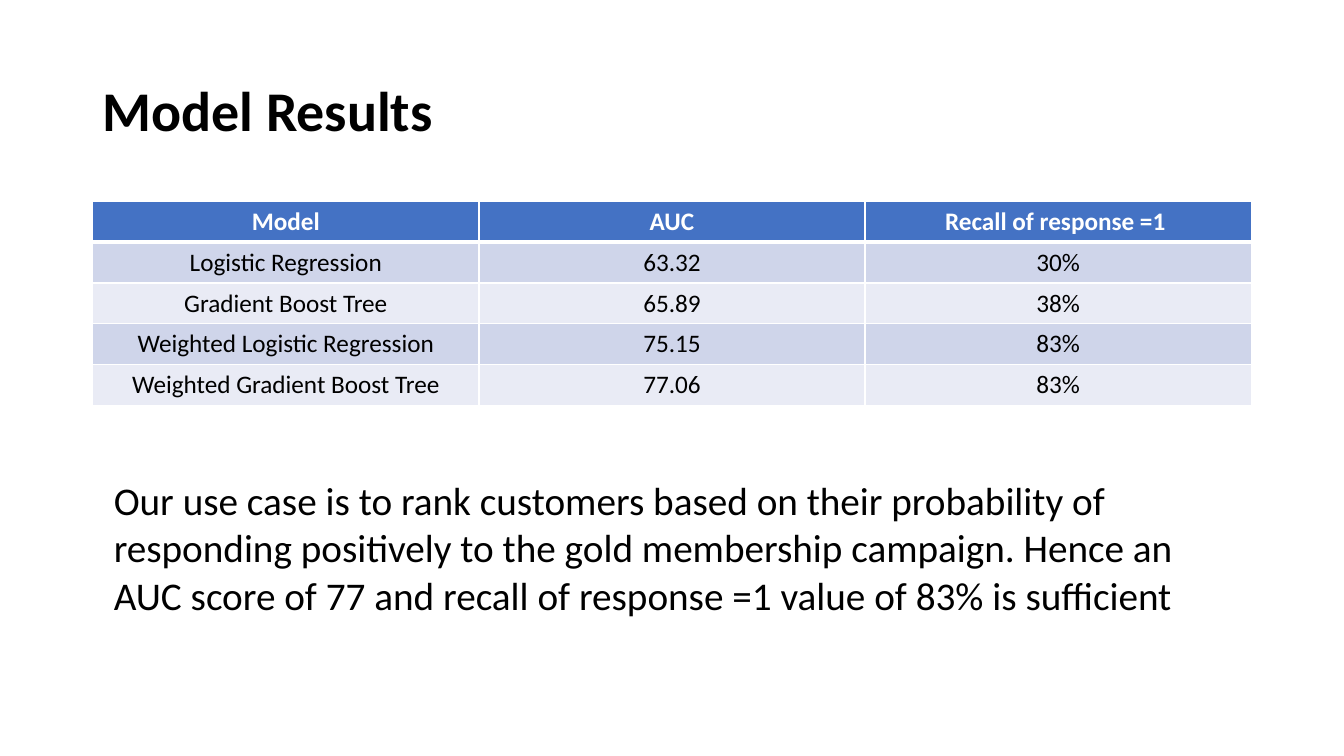
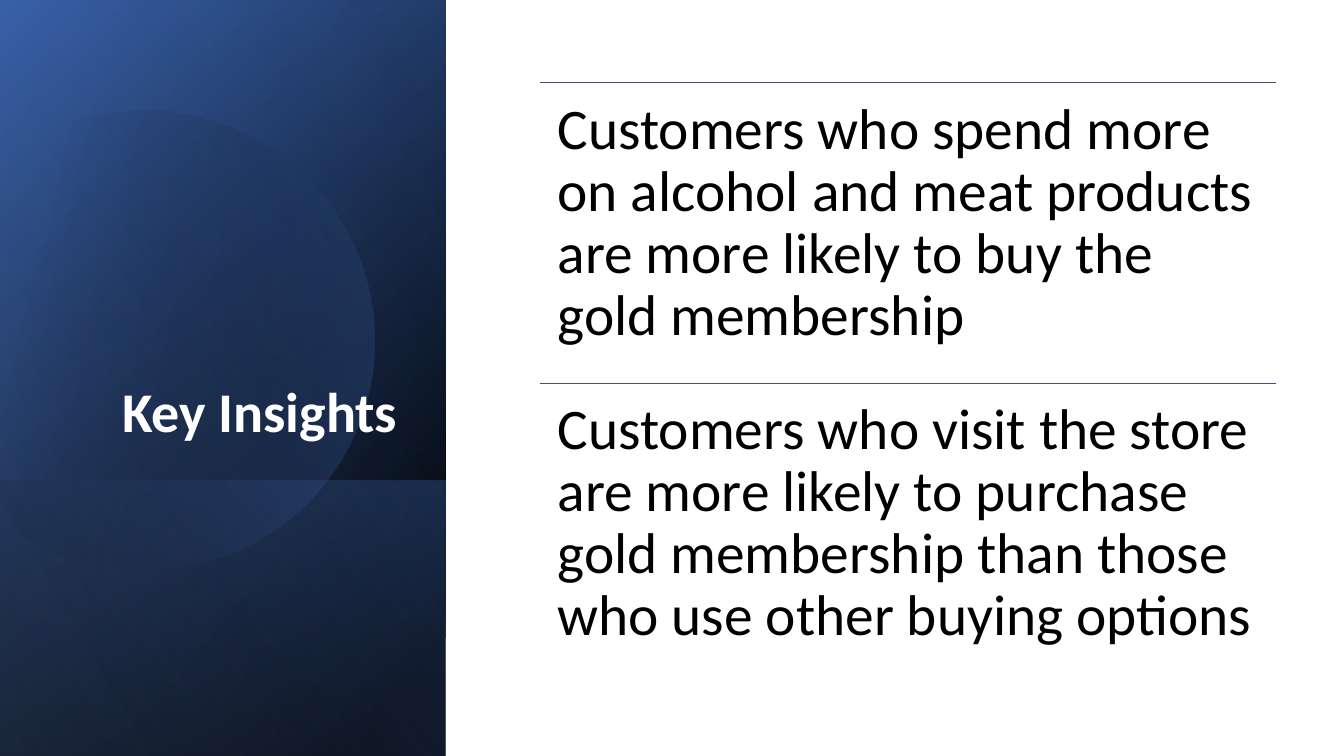
from dataclasses import dataclass
from math import cos, radians, sin, tan

from lxml import etree
from pptx import Presentation
from pptx.dml.color import RGBColor
from pptx.enum.shapes import MSO_CONNECTOR, MSO_SHAPE
from pptx.enum.text import MSO_ANCHOR, PP_ALIGN
from pptx.oxml.ns import qn
from pptx.util import Inches, Pt

RECT = MSO_SHAPE.RECTANGLE
STRAIGHT = MSO_CONNECTOR.STRAIGHT
TOP, MIDDLE, BOTTOM = MSO_ANCHOR.TOP, MSO_ANCHOR.MIDDLE, MSO_ANCHOR.BOTTOM
LEFT, CENTER, RIGHT = PP_ALIGN.LEFT, PP_ALIGN.CENTER, PP_ALIGN.RIGHT

FONT = "Calibri"
TITLE_SIZE = 40
COLORS = {
    "black": "000000",
    "white": "FFFFFF",
    "blue": "4472C4",
    "deep_blue": "2F5597",
    "light_blue": "8FAADC",
    "slate": "44546A",
    "band_dark": "CFD5EA",
    "band_light": "E9EBF5",
}
RESULTS = [
    ("Model", "AUC", "Recall of response =1 "),
    ("Logistic Regression", "63.32", "30%"),
    ("Gradient Boost Tree", "65.89", "38%"),
    ("Weighted Logistic Regression", "75.15", "83%"),
    ("Weighted Gradient Boost Tree", "77.06", "83%"),
]
CONCLUSION = (
    "Our use case is to rank customers based on their probability of responding "
    "positively to the gold membership campaign. Hence an AUC score of 77 and "
    "recall of response =1 value of 83% is sufficient"
)
INSIGHTS = [
    "Customers who spend more on alcohol and meat products are more likely to "
    "buy the gold membership",
    "Customers who visit the store are more likely to purchase gold membership "
    "than those who use other buying options",
]


@dataclass(frozen=True)
class Box:
    left: float
    top: float
    width: float
    height: float

    def emu(self) -> tuple:
        return tuple(Inches(v) for v in (self.left, self.top, self.width, self.height))


@dataclass(frozen=True)
class Stop:
    position: int
    color: str
    opacity: int = 100


@dataclass(frozen=True)
class Gradient:
    angle: int
    start: Stop
    end: Stop


@dataclass(frozen=True)
class Panel:
    box: Box
    gradient: Gradient


BACK_PANELS = [
    Panel(Box(-1.54, 1.54, 7.5, 4.42),
          Gradient(50, Stop(8, "black"), Stop(100, "deep_blue"))),
    Panel(Box(-1.54, 1.55, 7.5, 4.42),
          Gradient(30, Stop(0, "black", 0), Stop(99, "blue", 46))),
    Panel(Box(0.84, 3.93, 2.74, 4.42),
          Gradient(130, Stop(2, "blue", 29), Stop(100, "black", 30))),
]
DISC_GRADIENT = Gradient(30, Stop(29, "black", 0), Stop(100, "blue", 43))
DISC_ANGLES = (-118, -90, 0, 90, 150)
FRONT_PANEL = Panel(Box(-1.54, 1.54, 7.5, 4.42),
                    Gradient(120, Stop(0, "black", 0), Stop(99, "light_blue", 11)))


def rgb(name: str) -> RGBColor:
    return RGBColor.from_string(COLORS[name])


def format_text(p, size: float, color: str, bold: bool = False, align=LEFT) -> None:
    p.alignment = align
    for r in p.runs:
        r.font.name = FONT
        r.font.size = Pt(size)
        r.font.bold = bold
        r.font.color.rgb = rgb(color)


def add_text(s, box: Box, text: str, size: float, color: str = "black",
             bold: bool = False, align=LEFT, anchor=TOP,
             spacing: float | None = None, inset: float | None = None) -> None:
    tf = s.shapes.add_textbox(*box.emu()).text_frame
    tf.word_wrap = True
    tf.vertical_anchor = anchor
    if inset is not None:
        tf.margin_left = tf.margin_right = Inches(inset)
        tf.margin_top = tf.margin_bottom = Inches(inset)
    tf.text = text
    p = tf.paragraphs[0]
    p.line_spacing = spacing
    format_text(p, size, color, bold, align)


def add_title(s, box: Box, text: str, color: str = "black", align=LEFT,
              anchor=MIDDLE) -> None:
    add_text(s, box, text, TITLE_SIZE, color, True, align, anchor, 0.9)


def apply_gradient(sp, gradient: Gradient) -> None:
    sp.shadow.inherit = False
    sp.line.fill.background()
    sp.fill.gradient()
    sp.fill.gradient_angle = 360 - gradient.angle
    stops = (gradient.start, gradient.end)
    for target, stop in zip(sp.fill.gradient_stops, stops):
        target.position = stop.position / 100
        target.color.rgb = rgb(stop.color)
    for clr, stop in zip(sp.element.spPr.iter(qn("a:srgbClr")), stops):
        if stop.opacity < 100:
            etree.SubElement(clr, qn("a:alpha"), val=str(stop.opacity * 1000))


def add_panel(s, panel: Panel) -> None:
    sp = s.shapes.add_shape(RECT, *panel.box.emu())
    sp.rotation = 90
    sp.element.spPr.find(qn("a:xfrm")).set("flipH", "1")
    apply_gradient(sp, panel.gradient)


def curve_segments(sp) -> None:
    lines = list(sp.element.spPr.iter(qn("a:lnTo")))
    for i in range(0, len(lines), 3):
        curve = etree.Element(qn("a:cubicBezTo"))
        lines[i].addprevious(curve)
        for line in lines[i:i + 3]:
            curve.append(line[0])
            line.getparent().remove(line)


def add_disc(s, cx: float, cy: float, radius: float) -> None:
    def point(angle: float, tangent: float = 0) -> tuple:
        a = radians(angle)
        return (Inches(cx + radius * (cos(a) - tangent * sin(a))),
                Inches(cy + radius * (sin(a) + tangent * cos(a))))

    points = []
    for a, b in zip(DISC_ANGLES, DISC_ANGLES[1:]):
        handle = 4 / 3 * tan(radians(b - a) / 4)
        points += [point(a, handle), point(b, -handle), point(b)]
    builder = s.shapes.build_freeform(*point(DISC_ANGLES[0]))
    builder.add_line_segments(points, close=True)
    sp = builder.convert_to_shape()
    curve_segments(sp)
    sp.rotation = 343.9
    apply_gradient(sp, DISC_GRADIENT)


def add_rule(s, left: float, right: float, y: float) -> None:
    line = s.shapes.add_connector(
        STRAIGHT, Inches(left), Inches(y), Inches(right), Inches(y))
    line.line.color.rgb = rgb("slate")
    line.line.width = Pt(0.5)
    etree.SubElement(line.element.spPr, qn("a:effectLst"))


def set_borders(cell, top: float, bottom: float) -> None:
    tc_pr = cell._tc.get_or_add_tcPr()
    for side, width in (("L", 1), ("R", 1), ("T", top), ("B", bottom)):
        ln = etree.SubElement(tc_pr, qn(f"a:ln{side}"), w=str(Pt(width)))
        fill = etree.SubElement(ln, qn("a:solidFill"))
        etree.SubElement(fill, qn("a:srgbClr"), val=COLORS["white"])


def add_results_table(s, box: Box) -> None:
    table = s.shapes.add_table(len(RESULTS), len(RESULTS[0]), *box.emu()).table
    for i, values in enumerate(RESULTS):
        header = i == 0
        fill = "blue" if header else ("band_light", "band_dark")[i % 2]
        for j, value in enumerate(values):
            cell = table.cell(i, j)
            set_borders(cell, 3 if i == 1 else 1, 3 if header else 1)
            cell.fill.solid()
            cell.fill.fore_color.rgb = rgb(fill)
            cell.text_frame.text = value
            format_text(cell.text_frame.paragraphs[0], 18,
                        "white" if header else "black", header, CENTER)


def build_results(prs) -> None:
    s = prs.slides.add_slide(prs.slide_layouts[6])
    add_title(s, Box(0.92, 0.4, 11.5, 1.45), "Model Results")
    add_results_table(s, Box(0.92, 2, 11.49, 2.02))
    add_text(s, Box(1.03, 4.68, 11.39, 1.99), CONCLUSION, 28)


def build_insights(prs) -> None:
    s = prs.slides.add_slide(prs.slide_layouts[6])
    for panel in BACK_PANELS:
        add_panel(s, panel)
    add_disc(s, 1.43, 3.34, 2.28)
    add_panel(s, FRONT_PANEL)
    add_title(s, Box(0.63, 1.84, 3.41, 2.62), "Key Insights", "white", RIGHT, BOTTOM)
    left, top, width, height = 5.36, 0.82, 7.3, 2.98
    for i, insight in enumerate(INSIGHTS):
        y = top + i * height
        add_rule(s, left, left + width, y)
        add_text(s, Box(left, y, width, height), insight, 41, spacing=0.9, inset=0.17)


def main() -> None:
    prs = Presentation()
    prs.slide_width, prs.slide_height = Inches(13.33), Inches(7.5)
    build_results(prs)
    build_insights(prs)
    prs.save("out.pptx")


if __name__ == "__main__":
    main()
